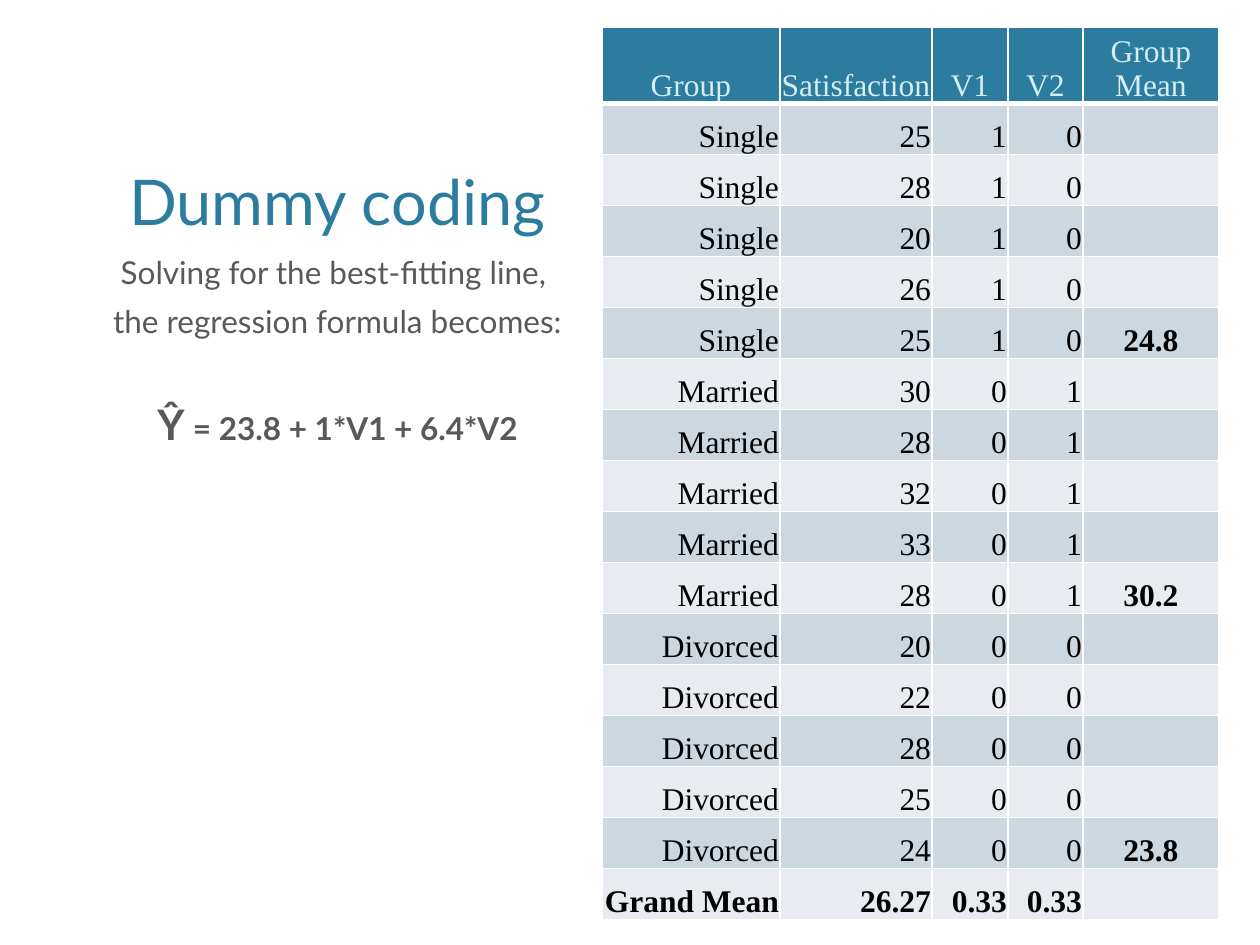
from typing import NamedTuple

from lxml import etree
from pptx import Presentation, util as u
from pptx.dml.color import RGBColor
from pptx.enum import text
from pptx.oxml.ns import qn

PX = 914400 // 126
SANS, SERIF = "Lato", "Times New Roman"
WHITE, BLACK, GREY = "FFFFFF", "000000", "595959"
BLUE, PALE = "2C7C9F", "D5EDF4"
BANDS = ("CDD7DF", "E8ECF0")
LEFT, MID, RIGHT = text.PP_ALIGN.LEFT, text.PP_ALIGN.CENTER, text.PP_ALIGN.RIGHT
TOP, LOW = text.MSO_ANCHOR.TOP, text.MSO_ANCHOR.BOTTOM

COLS = (178, 152, 76, 75, 136)
HEAD_H, ROW_H = 72, 51
HEAD = ("Group", "Satisfaction", "V1", "V2", "Group Mean")


class Group(NamedTuple):
    name: str
    scores: tuple[int, ...]
    v1: int
    v2: int
    mean: str


class Box(NamedTuple):
    x: int
    y: int
    w: int
    h: int


GROUPS = (
    Group("Single", (25, 28, 20, 26, 25), 1, 0, "24.8"),
    Group("Married", (30, 28, 32, 33, 28), 0, 1, "30.2"),
    Group("Divorced", (20, 22, 28, 25, 24), 0, 0, "23.8"),
)
TOTAL = ("Grand Mean", "26.27", "0.33", "0.33", "")


def px(n: int) -> int:
    return u.Emu(n * PX)


def hue(code: str) -> RGBColor:
    return RGBColor.from_string(code)


def write(para, words: str, *, size=18, font=SERIF, color=BLACK,
          bold=False, align=MID, before=0) -> None:
    """Add one formatted run to a paragraph."""
    para.alignment = align
    para.space_before = u.Pt(before)
    run = para.add_run()
    run.text = words
    run.font.size = u.Pt(size)
    run.font.name = font
    run.font.bold = bold
    run.font.color.rgb = hue(color)


def frame(slide, box: Box, anchor):
    """Add an empty wrapping text box and return its text frame."""
    area = slide.shapes.add_textbox(*map(px, box)).text_frame
    area.word_wrap = True
    area.vertical_anchor = anchor
    return area


def edge(cell, side: str, width: float) -> None:
    line = etree.SubElement(cell._tc.get_or_add_tcPr(), qn(f"a:ln{side}"),
                            w=str(u.Pt(width)))
    fill = etree.SubElement(line, qn("a:solidFill"))
    etree.SubElement(fill, qn("a:srgbClr"), val=WHITE)


def style(cell, fill: str, top: int, base: int) -> None:
    cell.margin_left = cell.margin_right = cell.margin_top = px(1)
    cell.margin_bottom = 0
    cell.vertical_anchor = LOW
    for side, width in zip("LRTB", (1, 1, top, base)):
        edge(cell, side, width)
    cell.fill.solid()
    cell.fill.fore_color.rgb = hue(fill)


def records() -> list[tuple[str, ...]]:
    """List the body rows, with each group's mean on its last row."""
    rows = []
    for g in GROUPS:
        last = len(g.scores) - 1
        for i, score in enumerate(g.scores):
            mean = g.mean if i == last else ""
            rows.append((g.name, str(score), str(g.v1), str(g.v2), mean))
    return rows + [TOTAL]


def draw_table(slide, x: int, y: int) -> None:
    rows = [HEAD] + records()
    high = HEAD_H + ROW_H * (len(rows) - 1)
    box = Box(x, y, sum(COLS), high)
    grid = slide.shapes.add_table(len(rows), len(COLS), *map(px, box)).table
    grid.horz_banding = False
    for col, width in zip(grid.columns, COLS):
        col.width = px(width)
    for r, row in enumerate(rows):
        head = r == 0
        grid.rows[r].height = px(HEAD_H if head else ROW_H)
        fill = BLUE if head else BANDS[(r - 1) % 2]
        for c, words in enumerate(row):
            cell = grid.cell(r, c)
            style(cell, fill, 3 if r == 1 else 1, 3 if head else 1)
            if not words:
                continue
            mean = c == len(COLS) - 1
            write(cell.text_frame.paragraphs[0], words,
                  color=PALE if head else BLACK,
                  bold=not head and (mean or row is TOTAL),
                  align=MID if head or mean else RIGHT)


def draw_text(slide) -> None:
    title = frame(slide, Box(73, 84, 529, 160), LOW)
    write(title.paragraphs[0], "Dummy coding", size=36, font=SANS, color=BLUE)

    body = frame(slide, Box(73, 247, 529, 513), TOP)
    look = dict(font=SANS, color=GREY)
    write(body.paragraphs[0], "Solving for the best-fitting line, ",
          before=6, **look)
    write(body.add_paragraph(), "the regression formula becomes:",
          before=6, **look)
    model = body.add_paragraph()
    look.update(bold=True, before=34)
    write(model, "Ŷ ", size=24, **look)
    write(model, "= 23.8 + 1*V1 + 6.4*V2", **look)


def main() -> None:
    deck = Presentation()
    deck.slide_width, deck.slide_height = px(1260), px(945)
    slide = deck.slides.add_slide(deck.slide_layouts[6])
    slide.background.fill.solid()
    slide.background.fill.fore_color.rgb = hue(WHITE)
    draw_text(slide)
    draw_table(slide, 602, 27)
    deck.save("out.pptx")


if __name__ == "__main__":
    main()
